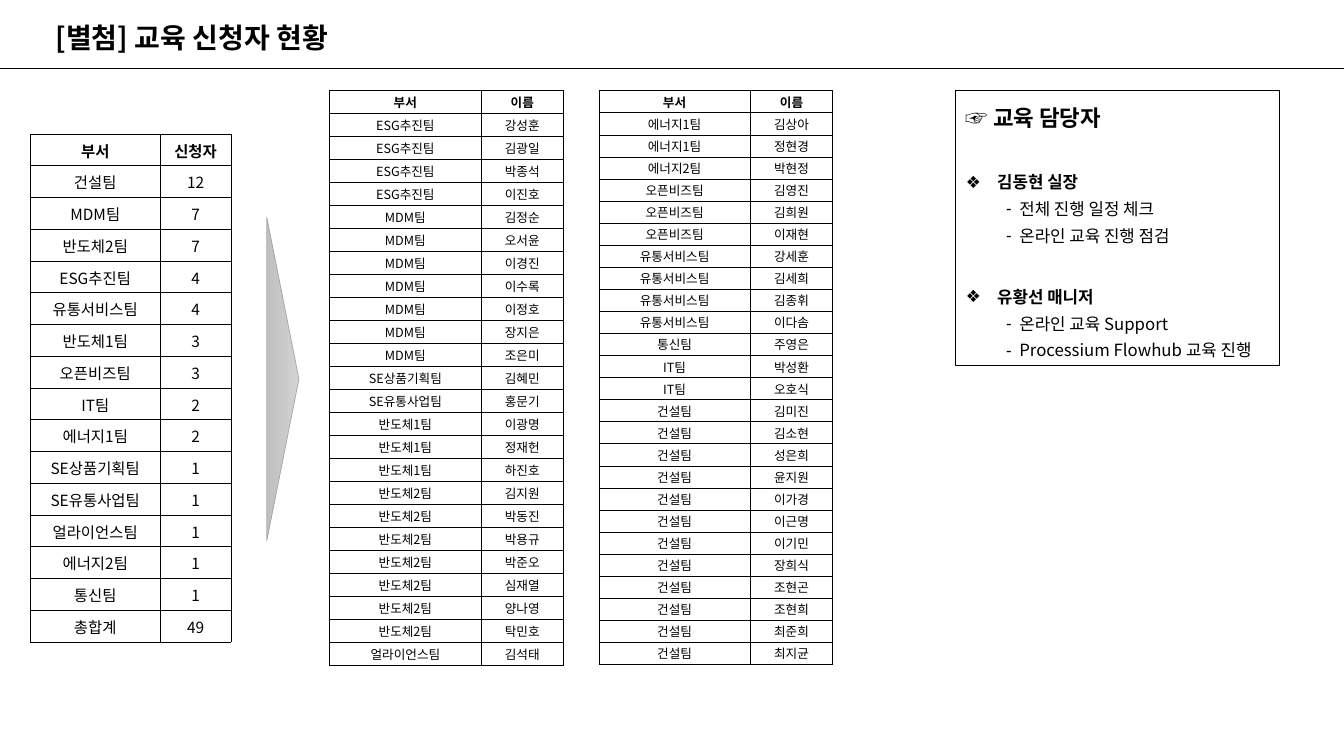
import pptx
import pptx.dml.color
import pptx.enum.shapes
import pptx.enum.text
import pptx.oxml
import pptx.oxml.ns
import pptx.util

COLORS = {"ink": "000000", "arrow_start": "D2D2D2", "arrow_end": "C0C0C0", "arrow_edge": "A5A5A5"}
FONT = "Noto Sans CJK KR"
PX = 9144  # EMU per px, 100 px to the inch

TEAM_COUNTS = [
    ("부서", "신청자"), ("건설팀", "12"), ("MDM팀", "7"), ("반도체2팀", "7"),
    ("ESG추진팀", "4"), ("유통서비스팀", "4"), ("반도체1팀", "3"), ("오픈비즈팀", "3"),
    ("IT팀", "2"), ("에너지1팀", "2"), ("SE상품기획팀", "1"), ("SE유통사업팀", "1"),
    ("얼라이언스팀", "1"), ("에너지2팀", "1"), ("통신팀", "1"), ("총합계", "49"),
]
FIRST_ROSTER = [
    ("ESG추진팀", "강성훈 김광일 박종석 이진호"),
    ("MDM팀", "김정순 오서윤 이경진 이수록 이정호 장지은 조은미"),
    ("SE상품기획팀", "김혜민"),
    ("SE유통사업팀", "홍문기"),
    ("반도체1팀", "이광명 정재헌 하진호"),
    ("반도체2팀", "김지원 박동진 박용규 박준오 심재열 양나영 탁민호"),
    ("얼라이언스팀", "김석태"),
]
SECOND_ROSTER = [
    ("에너지1팀", "김상아 정현경"),
    ("에너지2팀", "박현정"),
    ("오픈비즈팀", "김영진 김희원 이재현"),
    ("유통서비스팀", "강세훈 김세희 김종휘 이다솜"),
    ("통신팀", "주영은"),
    ("IT팀", "박성환 오호식"),
    ("건설팀", "김미진 김소현 성은희 윤지원 이가경 이근명 이기민 장희식 조현곤 조현희 최준희 최지균"),
]
# Text and kind of each line in the contact box
CONTACTS = [
    ("☞ 교육 담당자", "heading"),
    ("김동현 실장", "person"),
    ("전체 진행 일정 체크", "duty"),
    ("온라인 교육 진행 점검", "duty"),
    ("유황선 매니저", "person"),
    ("온라인 교육 Support", "duty"),
    ("Processium Flowhub 교육 진행", "duty"),
]
# Kind: size, bold, bullet, left margin, hanging px, line points, points before
CONTACT_STYLES = {
    "heading": (16, True, None, 0, 0, 25, 0),
    "person": (12, True, "❖", 31, 31, 19, 25),
    "duty": (12, False, "-", 53, 13, 19, 0),
}


def color(name):
    return pptx.dml.color.RGBColor.from_string(COLORS[name])


def element(tag, attributes="", content=""):
    namespace = pptx.oxml.ns.nsdecls("a")
    return pptx.oxml.parse_xml(f"<a:{tag} {namespace} {attributes}>{content}</a:{tag}>")


def roster_rows(groups):
    people = [(team, name) for team, names in groups for name in names.split()]
    return [("부서", "이름")] + people


class SlideBuilder:
    def __init__(self, presentation):
        self.slide = presentation.slides.add_slide(presentation.slide_layouts[1])

    def place(self, shape, left, top, width, height):
        shape.left, shape.top = left * PX, top * PX
        shape.width, shape.height = width * PX, height * PX

    def format_runs(self, paragraph, size, bold):
        for run in paragraph.runs:
            run.font.size = pptx.util.Pt(size)
            run.font.bold = bold
            run.font.name = FONT
            run.font.color.rgb = color("ink")
            run.font._element.find(pptx.oxml.ns.qn("a:latin")).addnext(
                element("ea", f'typeface="{FONT}"'))

    def title(self, text, *box):
        title = self.slide.shapes.title
        self.place(title, *box)
        frame = title.text_frame
        frame.text = text
        frame.auto_size = pptx.enum.text.MSO_AUTO_SIZE.NONE
        frame.vertical_anchor = pptx.enum.text.MSO_ANCHOR.MIDDLE
        frame.paragraphs[0].alignment = pptx.enum.text.PP_ALIGN.LEFT
        self.format_runs(frame.paragraphs[0], 20, True)

    def rule(self, left, top, right):
        line = self.slide.shapes.add_connector(
            pptx.enum.shapes.MSO_CONNECTOR.STRAIGHT, left * PX, top * PX, right * PX, top * PX)
        line.line.color.rgb = color("ink")
        line.line.width = pptx.util.Pt(0.5)
        line._element.spPr.append(element("effectLst"))

    def arrow(self, *box):
        arrow = self.slide.shapes.add_shape(
            pptx.enum.shapes.MSO_SHAPE.ISOSCELES_TRIANGLE, *(length * PX for length in box))
        arrow.rotation = 90
        arrow.shadow.inherit = False
        arrow.fill.gradient()
        arrow.fill.gradient_angle = 270
        for stop, name in zip(arrow.fill.gradient_stops, ("arrow_start", "arrow_end")):
            stop.color.rgb = color(name)
        arrow.line.color.rgb = color("arrow_edge")
        arrow.line.width = pptx.util.Pt(0.5)

    def contact_box(self, lines, *box):
        body = self.slide.placeholders[1]
        self.place(body, *box)
        body.line.color.rgb = color("ink")
        body.line.width = pptx.util.Pt(0.75)
        frame = body.text_frame
        frame.text = "\n".join(text for text, kind in lines)
        frame.auto_size = pptx.enum.text.MSO_AUTO_SIZE.NONE
        frame.vertical_anchor = pptx.enum.text.MSO_ANCHOR.TOP
        frame.margin_right = 0
        for paragraph, (text, kind) in zip(frame.paragraphs, lines):
            size, bold, bullet, margin, hanging, line_points, before = CONTACT_STYLES[kind]
            properties = paragraph._p.get_or_add_pPr()
            properties.set("marL", str(margin * PX))
            properties.set("indent", str(-hanging * PX))
            properties.append(element("buChar", f'char="{bullet}"') if bullet else element("buNone"))
            paragraph.line_spacing = pptx.util.Pt(line_points)
            paragraph.space_before = pptx.util.Pt(before)
            self.format_runs(paragraph, size, bold)

    def table(self, rows, left, top, widths, height, size, inset):
        row_height = round(height * PX / len(rows))
        table = self.slide.shapes.add_table(
            len(rows), len(widths), left * PX, top * PX, sum(widths) * PX, row_height * len(rows)).table
        table.first_row = table.horz_banding = False
        for column, width in zip(table.columns, widths):
            column.width = width * PX
        for row_index, values in enumerate(rows):
            table.rows[row_index].height = row_height
            for column_index, value in enumerate(values):
                self.cell(table.cell(row_index, column_index), value, size, row_index == 0, inset)

    def cell(self, cell, text, size, bold, inset):
        cell.text_frame.text = text
        cell.margin_left = cell.margin_right = cell.margin_top = inset * PX
        cell.margin_bottom = 0
        cell.vertical_anchor = pptx.enum.text.MSO_ANCHOR.MIDDLE
        paragraph = cell.text_frame.paragraphs[0]
        paragraph.alignment = pptx.enum.text.PP_ALIGN.CENTER
        self.format_runs(paragraph, size, bold)
        cell.fill.background()
        ink = f'<a:solidFill><a:srgbClr val="{COLORS["ink"]}"/></a:solidFill>'
        for index, side in enumerate("LRTB"):
            cell._tc.tcPr.insert(index, element(f"ln{side}", 'w="6350"', ink))


def main():
    presentation = pptx.Presentation()
    presentation.slide_width = 1333 * PX
    presentation.slide_height = 750 * PX
    builder = SlideBuilder(presentation)

    # Heading
    builder.rule(0, 68, 1333)
    builder.title("[별첨] 교육 신청자 현황", 45, 15, 322, 44)

    # Applicants per team, leading to the rosters
    builder.table(TEAM_COUNTS, 30, 133, (129, 70), 504, 11, 1)
    builder.arrow(120, 360, 321, 32)
    for left, groups in ((327, FIRST_ROSTER), (594, SECOND_ROSTER)):
        builder.table(roster_rows(groups), left, 90, (150, 82), 570, 9, 0)

    # People in charge
    builder.contact_box(CONTACTS, 948, 90, 321, 273)

    presentation.save("out.pptx")


if __name__ == "__main__":
    main()
